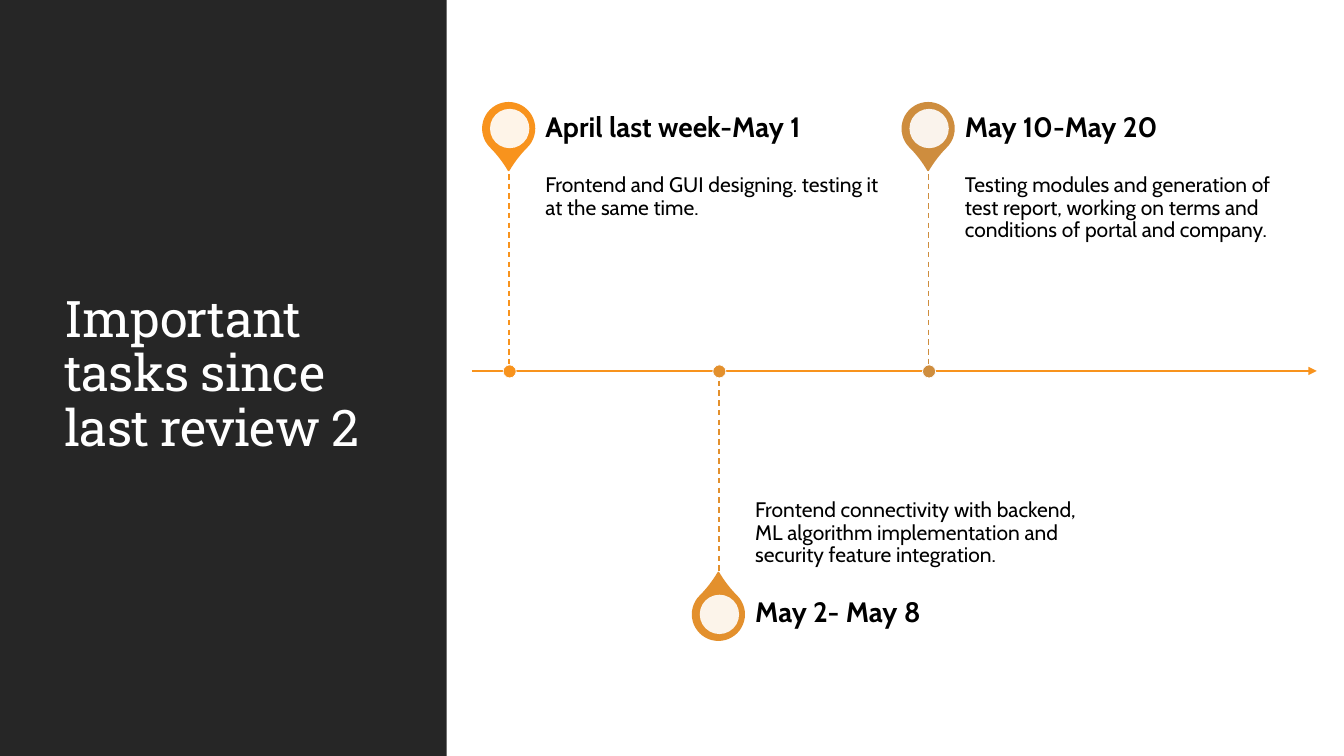
from lxml import etree
from pptx import Presentation
from pptx import util as u
from pptx.dml.color import RGBColor
from pptx.enum import dml, shapes, text
from pptx.oxml import ns

PX = 9144
DARK = RGBColor(0x26, 0x26, 0x26)
WHITE = RGBColor(0xFF, 0xFF, 0xFF)
BLACK = RGBColor(0, 0, 0)
ORANGE = RGBColor(0xF8, 0x93, 0x1D)
AMBER = RGBColor(0xE3, 0x90, 0x2D)
BRONZE = RGBColor(0xCE, 0x8D, 0x3E)

AXIS = 368
FIRST, STEP = 505, 208
STEM, HEAD = 205, 72
WIDE = 348
TASKS = [
    (ORANGE, "April last week-May 1",
     "Frontend and GUI designing. testing it at the same time."),
    (AMBER, "May 2- May 8",
     "Frontend connectivity with backend, ML algorithm implementation "
     "and security feature integration."),
    (BRONZE, "May 10-May 20",
     "Testing modules and generation of test report, working on terms "
     "and conditions of portal and company."),
]


def px(*sizes):
    return [u.Emu(size * PX) for size in sizes]


def write(shape, words, font="Cabin", size=15, color=BLACK, bold=False,
          anchor=text.MSO_ANCHOR.TOP, inset=(0, 0, 0, 0), track=0):
    frame = shape.text_frame
    frame.word_wrap = True
    frame.auto_size = text.MSO_AUTO_SIZE.NONE
    frame.vertical_anchor = anchor
    (frame.margin_left, frame.margin_top,
     frame.margin_right, frame.margin_bottom) = px(*inset)
    para = frame.paragraphs[0]
    para.alignment = text.PP_ALIGN.LEFT
    para.line_spacing = 0.9
    para.space_before = u.Pt(0)
    run = para.add_run()
    run.text = words
    run.font.name = font
    run.font.size = u.Pt(size)
    run.font.bold = bold
    run.font.color.rgb = color
    if track:
        run.font._element.set("spc", str(track))


def label(slide, box, words, **style):
    write(slide.shapes.add_textbox(*px(*box)), words, **style)


def form(slide, kind, box, fill, edge=None, width=1.0):
    shape = slide.shapes.add_shape(kind, *px(*box))
    shape.shadow.inherit = False
    shape.fill.solid()
    shape.fill.fore_color.rgb = fill
    if edge is None:
        shape.line.fill.background()
    else:
        shape.line.color.rgb = edge
        shape.line.width = u.Pt(width)
    return shape


def disc(slide, x, y, size, fill, **edge):
    box = (x - size // 2, y - size // 2, size, size)
    return form(slide, shapes.MSO_SHAPE.OVAL, box, fill, **edge)


def rule(slide, ends, color, width, dash=False, arrow=False):
    line = slide.shapes.add_connector(shapes.MSO_CONNECTOR.STRAIGHT, *px(*ends))
    line.line.color.rgb = color
    line.line.width = u.Pt(width)
    if dash:
        line.line.dash_style = dml.MSO_LINE.DASH
    if arrow:
        tip = etree.SubElement(line.line._get_or_add_ln(), ns.qn("a:tailEnd"))
        tip.set("type", "triangle")
    etree.SubElement(line.element.spPr, ns.qn("a:effectLst"))


def pin(slide, x, y, turn, color):
    drop = form(slide, shapes.MSO_SHAPE.TEAR, (x - 26, y - 25, 51, 51),
                color, edge=color, width=1.25)
    drop.adjustments[0] = 1.15
    drop.rotation = turn
    hole = disc(slide, x, y, 39, WHITE)
    tone = hole.element.spPr.find(".//" + ns.qn("a:srgbClr"))
    etree.SubElement(tone, ns.qn("a:alpha")).set("val", "90000")


def task(slide, x, above, color, when, what):
    left = x + 36
    if above:
        end, top, head = AXIS - STEM, AXIS - STEM, AXIS - STEM - HEAD
        turn, anchor, inset = 135, text.MSO_ANCHOR.TOP, (0, 10, 10, 16)
    else:
        end, top, head = AXIS + STEM, AXIS, AXIS + STEM
        turn, anchor, inset = 315, text.MSO_ANCHOR.BOTTOM, (0, 16, 0, 10)
    pin(slide, x, head + HEAD // 2, turn, color)
    label(slide, (left, top, WIDE, STEM), what, anchor=anchor, inset=inset)
    label(slide, (left, head, WIDE, HEAD), when, size=20, bold=True,
          anchor=text.MSO_ANCHOR.MIDDLE, inset=(0, 0, 14, 0))
    rule(slide, (x, AXIS, x, end) if not above else (x, end, x, AXIS),
         color, 1, dash=True)
    disc(slide, x, AXIS, 13, color, edge=WHITE, width=0.5)


def main():
    deck = Presentation()
    deck.slide_width, deck.slide_height = px(1333, 750)
    slide = deck.slides.add_slide(deck.slide_layouts[5])
    title = slide.shapes.title
    title.left, title.top, title.width, title.height = px(54, 57, 337, 631)
    write(title, "Important tasks since last review 2", font="Roboto Slab",
          size=36, color=WHITE, anchor=text.MSO_ANCHOR.MIDDLE,
          inset=(10, 5, 10, 5), track=-50)
    panel = form(slide, shapes.MSO_SHAPE.RECTANGLE, (0, 0, 443, 750), DARK)
    title.element.addprevious(panel.element)
    rule(slide, (468, AXIS, 1306, AXIS), ORANGE, 1.5, arrow=True)
    for i, (color, when, what) in enumerate(TASKS):
        task(slide, FIRST + i * STEP, i % 2 == 0, color, when, what)
    deck.save("out.pptx")


if __name__ == "__main__":
    main()
